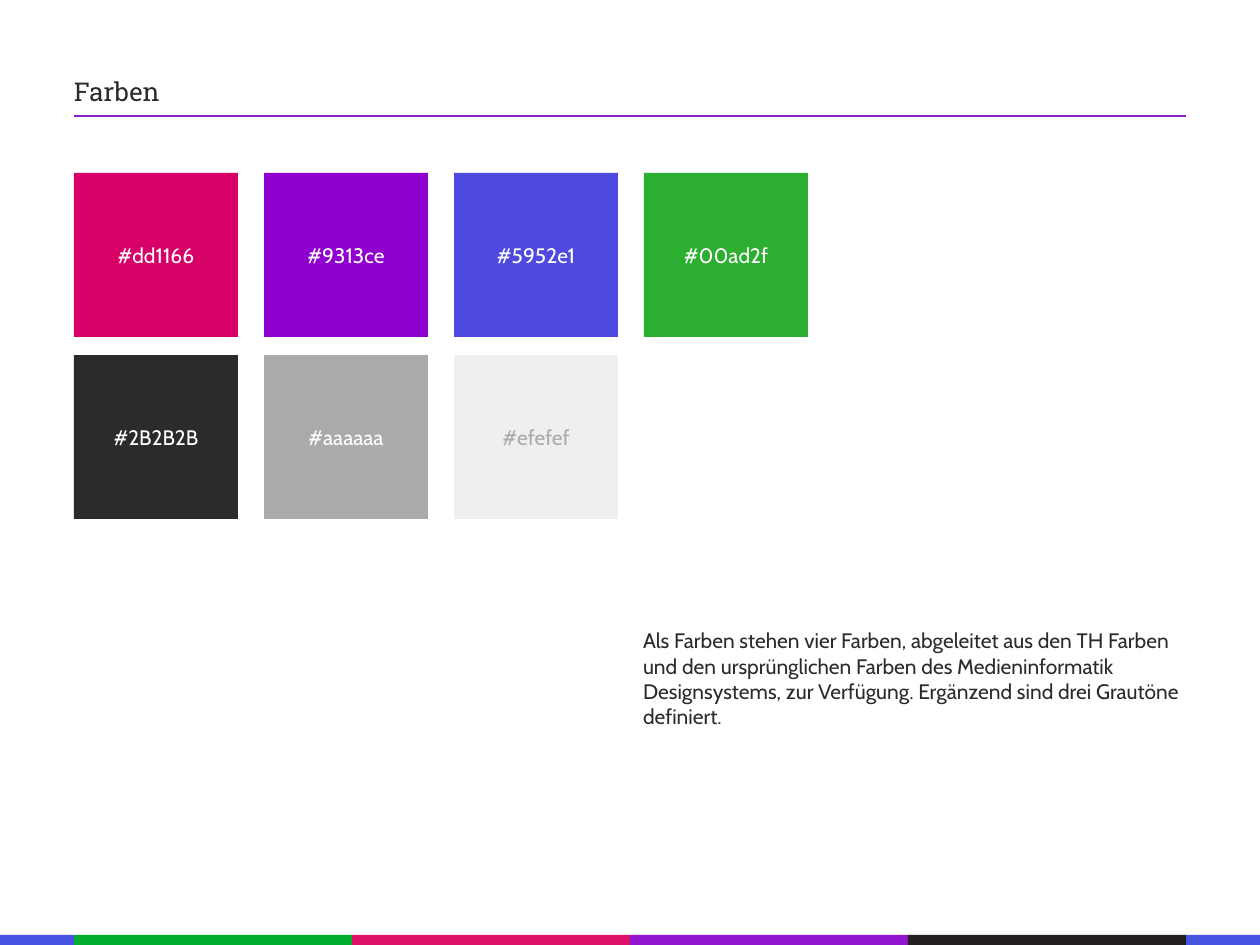
from lxml import etree
from pptx import Presentation
from pptx.dml.color import RGBColor
from pptx.enum.shapes import MSO_CONNECTOR, MSO_SHAPE
from pptx.enum.text import MSO_ANCHOR, MSO_AUTO_SIZE, PP_ALIGN
from pptx.oxml.ns import qn
from pptx.util import Pt

RECT = MSO_SHAPE.RECTANGLE
LINE = MSO_CONNECTOR.STRAIGHT
TOP, MIDDLE = MSO_ANCHOR.TOP, MSO_ANCHOR.MIDDLE
LEFT, CENTER = PP_ALIGN.LEFT, PP_ALIGN.CENTER
GROW = MSO_AUTO_SIZE.SHAPE_TO_FIT_TEXT

SCALE = 10320
WIDE, HIGH = 1260, 945
EDGE, SIDE, STEP, DROP = 74, 164, 190, 182
BAR_TOP, BAR_WIDE = 935, 278

COLORS = {
    "white": "FFFFFF", "dark": "2B2B2B", "title": "2C2B2B", "rule": "8723C7",
    "pink": "D60067", "violet": "9000CE", "blue": "4F49E0", "green": "2CAF30",
    "gray": "AAAAAA", "light": "EFEFEF",
    "bar blue": "4953E1", "bar green": "01AD2F", "bar pink": "DD1166",
    "bar violet": "9314CE", "bar black": "231F20",
}
SWATCHES = [
    [("#dd1166", "pink", "white"), ("#9313ce", "violet", "white"),
     ("#5952e1", "blue", "white"), ("#00ad2f", "green", "white")],
    [("#2B2B2B", "dark", "white"), ("#aaaaaa", "gray", "white"),
     ("#efefef", "light", "gray")],
]
BARS = ["bar green", "bar pink", "bar violet", "bar black"]
BODY = ("Als Farben stehen vier Farben, abgeleitet aus den TH Farben und den "
        "ursprünglichen Farben des Medieninformatik Designsystems, zur Verfügung. "
        "Ergänzend sind drei Grautöne definiert.")


def px(*sizes):
    """Turn pixel lengths into EMU."""
    return [size * SCALE for size in sizes]


def color(name):
    """Look up a named colour."""
    return RGBColor.from_string(COLORS[name])


def write(shape, text, font, size, ink, align=LEFT, anchor=TOP, inset=0, wrap=True):
    """Put one styled run into a shape."""
    frame = shape.text_frame
    frame.word_wrap = wrap
    frame.vertical_anchor = anchor
    frame.margin_left = frame.margin_right = inset * SCALE
    frame.margin_top = frame.margin_bottom = inset * SCALE
    para = frame.paragraphs[0]
    para.alignment = align
    run = para.add_run()
    run.text = text
    run.font.name = font
    run.font.size = Pt(size)
    run.font.color.rgb = color(ink)


def add_rect(slide, left, top, wide, high, fill):
    """Draw a plain filled rectangle."""
    rect = slide.shapes.add_shape(RECT, *px(left, top, wide, high))
    rect.shadow.inherit = False
    rect.fill.solid()
    rect.fill.fore_color.rgb = color(fill)
    rect.line.fill.background()
    return rect


def add_swatch(slide, row, col, text, fill, ink):
    """Draw one labelled colour square in the grid."""
    rect = add_rect(slide, EDGE + col * STEP, 173 + row * DROP, SIDE, SIDE, fill)
    write(rect, text, "Cabin", 17, ink, CENTER, MIDDLE, inset=5)


def add_text(slide, left, top, wide, high, text, font, size, ink, **style):
    """Add a text box that grows with its text."""
    box = slide.shapes.add_textbox(*px(left, top, wide, high))
    write(box, text, font, size, ink, **style)
    box.text_frame.auto_size = GROW


def add_rule(slide, left, right, top):
    """Draw the line below the title."""
    rule = slide.shapes.add_connector(LINE, *px(left, top, right, top))
    rule.line.color.rgb = color("rule")
    rule.line.width = Pt(2)
    etree.SubElement(rule._element.spPr, qn("a:effectLst"))


def add_footer(slide):
    """Draw the colour strip along the bottom."""
    high = HIGH - BAR_TOP
    for col, fill in enumerate(BARS):
        add_rect(slide, EDGE + col * BAR_WIDE, BAR_TOP, BAR_WIDE, high, fill)
    for left in (0, WIDE - EDGE):
        add_rect(slide, left, BAR_TOP, EDGE, high, "bar blue")


def main():
    """Build and save the slide."""
    deck = Presentation()
    deck.slide_width, deck.slide_height = px(WIDE, HIGH)
    slide = deck.slides.add_slide(deck.slide_layouts[6])
    add_text(slide, EDGE, 74, 87, 35, "Farben", "Roboto Slab", 21, "title",
             anchor=MIDDLE, wrap=False)
    add_rule(slide, EDGE, WIDE - EDGE, 116)
    for row, line in enumerate(SWATCHES):
        for col, swatch in enumerate(line):
            add_swatch(slide, row, col, *swatch)
    add_text(slide, 643, 628, 542, 105, BODY, "Cabin", 17, "dark")
    add_footer(slide)
    deck.save("out.pptx")


if __name__ == "__main__":
    main()
